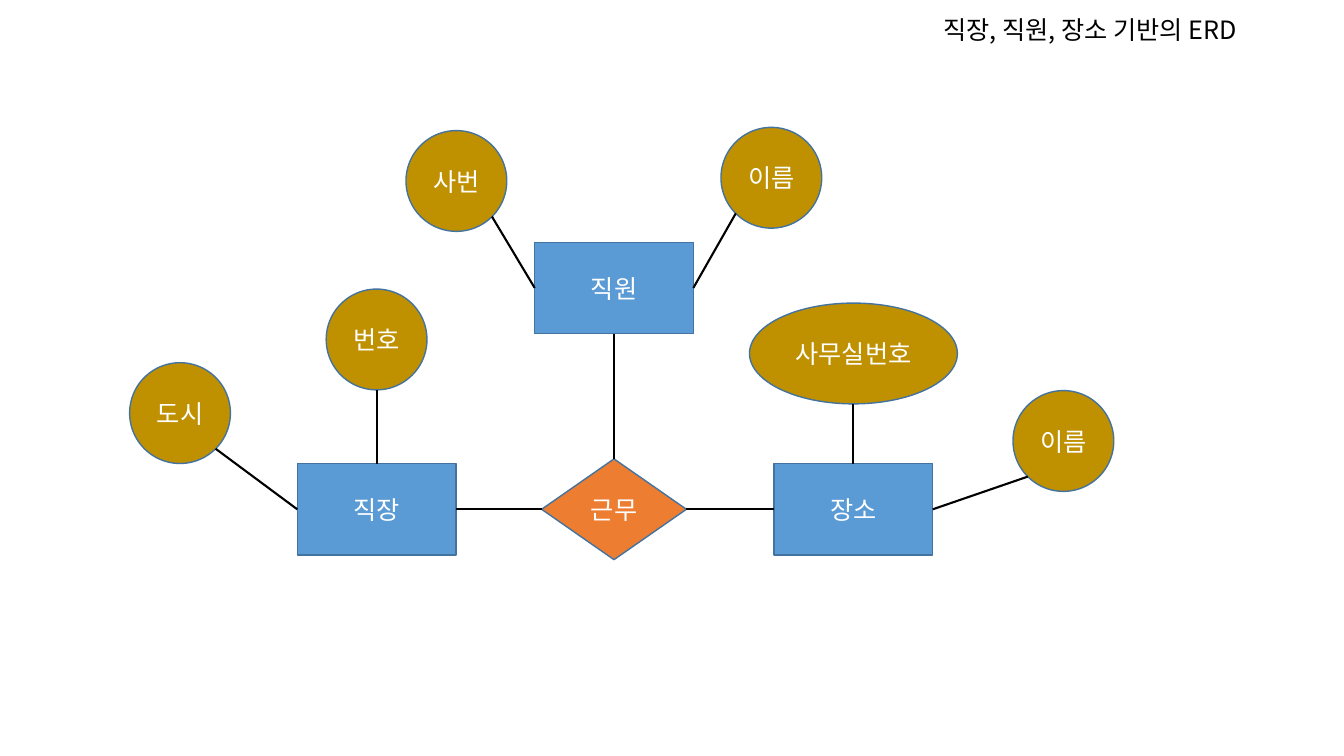
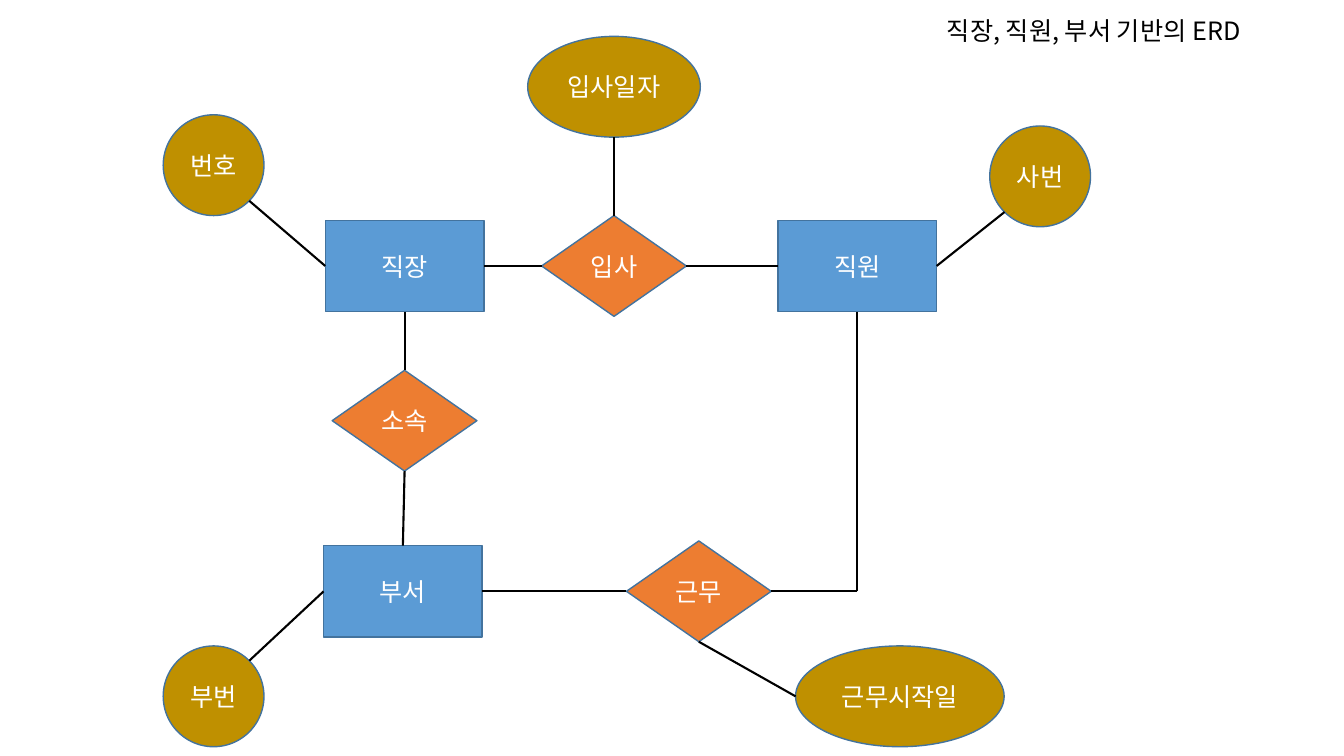
from math import sqrt

from lxml.etree import SubElement
from pptx import Presentation
from pptx.dml.color import RGBColor
from pptx.enum.shapes import MSO_CONNECTOR, MSO_SHAPE
from pptx.enum.text import MSO_ANCHOR, MSO_AUTO_SIZE, PP_ALIGN
from pptx.oxml.ns import qn
from pptx.util import Pt

FONT = "Noto Sans CJK KR"
COLORS = {
    "entity": "5B9BD5",
    "relation": "ED7D31",
    "attribute": "BF9000",
    "outline": "43739E",
    "link": "000000",
    "title": "000000",
    "label": "FFFFFF",
}
KINDS = {
    "entity": (MSO_SHAPE.RECTANGLE, 113.3, 65.4),
    "relation": (MSO_SHAPE.DIAMOND, 103.4, 72),
    "attribute": (MSO_SHAPE.OVAL, 72, 72),
}
SIDES = {
    "top": (0, -1),
    "left": (-1, 0),
    "bottom": (0, 1),
    "right": (1, 0),
    "bottom left": (-sqrt(0.5), sqrt(0.5)),
    "bottom right": (sqrt(0.5), sqrt(0.5)),
    "top right": (sqrt(0.5), -sqrt(0.5)),
}
BOX_SITES = ["top", "left", "bottom", "right"]
OVAL_SITES = ["top", "top left", "left", "bottom left",
              "bottom", "bottom right", "right", "top right"]

WORKPLACE_ERD = {
    "title": ("직장, 직원, 장소 기반의 ERD", 666.7, 6.5),
    "nodes": {
        "workplace": ("entity", "직장", 269, 363.8),
        "employee": ("entity", "직원", 438.6, 205.7),
        "place": ("entity", "장소", 609.6, 363.8),
        "works": ("relation", "근무", 438.6, 363.8),
        "employee name": ("attribute", "이름", 551, 127),
        "employee no": ("attribute", "사번", 326, 129.3),
        "city": ("attribute", "도시", 128.6, 295.1),
        "workplace no": ("attribute", "번호", 269, 242.5),
        "office no": ("attribute", "사무실번호", 609.6, 252.5, 148.5),
        "place name": ("attribute", "이름", 759.6, 315),
    },
    "links": [
        ("city", "bottom right", "workplace", "left"),
        ("workplace no", "bottom", "workplace", "top"),
        ("works", "left", "workplace", "right"),
        ("place", "left", "works", "right"),
        ("employee", "bottom", "works", "top"),
        ("employee no", "bottom right", "employee", "left"),
        ("employee name", "bottom left", "employee", "right"),
        ("office no", "bottom", "place", "top"),
        ("place name", "bottom left", "place", "right"),
    ],
}
DEPARTMENT_ERD = {
    "title": ("직장, 직원, 부서 기반의 ERD", 669.2, 7.2),
    "nodes": {
        "workplace": ("entity", "직장", 289, 190),
        "department": ("entity", "부서", 287.8, 422.4),
        "employee": ("entity", "직원", 612.4, 190),
        "joins": ("relation", "입사", 438.6, 190),
        "works": ("relation", "근무", 499.2, 422.4),
        "belongs": ("relation", "소속", 289, 300.5),
        "employee no": ("attribute", "사번", 743, 126),
        "workplace no": ("attribute", "번호", 152.6, 118),
        "join date": ("attribute", "입사일자", 438.6, 62, 123.3),
        "start date": ("attribute", "근무시작일", 642.8, 497.4, 149),
        "department no": ("attribute", "부번", 152.6, 497.4),
    },
    "links": [
        ("workplace", "bottom", "belongs", "top"),
        ("belongs", "bottom", "department", "top"),
        ("department", "left", "department no", "top right"),
        ("workplace no", "bottom right", "workplace", "left"),
        ("joins", "left", "workplace", "right"),
        ("joins", "right", "employee", "left"),
        ("works", "left", "department", "right"),
        ("works", "bottom", "start date", "left"),
        ("join date", "bottom", "joins", "top"),
        ("employee no", "bottom left", "employee", "right"),
    ],
    "corner": ("employee", "bottom", "works", "right"),
}


def rgb(name):
    """Return the named colour."""
    return RGBColor.from_string(COLORS[name])


def format_text(tf, color, align, anchor):
    """Give a text frame the shared font, a colour and its alignment."""
    tf.word_wrap = True
    tf.auto_size = MSO_AUTO_SIZE.NONE
    tf.vertical_anchor = anchor
    for p in tf.paragraphs:
        p.alignment = align
        for r in p.runs:
            r.font.size = Pt(18)
            r.font.name = FONT
            r.font.color.rgb = rgb(color)
            SubElement(r.font._element, qn("a:ea"), typeface=FONT)


def add_title(s, text, left, top):
    """Place the title at the top right of the slide."""
    sp = s.shapes.title
    sp.left, sp.top, sp.width, sp.height = Pt(left), Pt(top), Pt(255.6), Pt(29)
    sp.text_frame.text = text
    format_text(sp.text_frame, "title", PP_ALIGN.LEFT, MSO_ANCHOR.TOP)


def add_node(s, kind, text, x, y, width=None):
    """Add a labelled entity, relation or attribute centred on x, y."""
    preset, w, h = KINDS[kind]
    w = width or w
    sp = s.shapes.add_shape(preset, Pt(x - w / 2), Pt(y - h / 2), Pt(w), Pt(h))
    sp.shadow.inherit = False
    sp.fill.solid()
    sp.fill.fore_color.rgb = rgb(kind)
    sp.line.color.rgb = rgb("outline")
    sp.line.width = Pt(1)
    sp.text_frame.text = text
    format_text(sp.text_frame, "label", PP_ALIGN.CENTER, MSO_ANCHOR.MIDDLE)
    return sp


def side_point(sp, side):
    """Return the point on the given side of a node."""
    dx, dy = SIDES[side]
    return (round(sp.left + sp.width * (1 + dx) / 2),
            round(sp.top + sp.height * (1 + dy) / 2))


def add_line(s, start, end):
    """Draw a plain straight line between two points."""
    c = s.shapes.add_connector(MSO_CONNECTOR.STRAIGHT, *start, *end)
    c.line.color.rgb = rgb("link")
    c.line.width = Pt(1.5)
    SubElement(c._element.spPr, qn("a:effectLst"))
    return c


def glue(c, tag, sp, side):
    """Attach one end of a connector to a side of a node."""
    sites = OVAL_SITES if sp.auto_shape_type == MSO_SHAPE.OVAL else BOX_SITES
    SubElement(c._element.nvCxnSpPr.cNvCxnSpPr, qn(tag),
               id=str(sp.shape_id), idx=str(sites.index(side)))


def add_link(s, a, a_side, b, b_side):
    """Connect two nodes with a straight connector."""
    c = add_line(s, side_point(a, a_side), side_point(b, b_side))
    glue(c, "a:stCxn", a, a_side)
    glue(c, "a:endCxn", b, b_side)


def add_corner_link(s, a, a_side, b, b_side):
    """Connect two nodes by a vertical and a horizontal line."""
    start, end = side_point(a, a_side), side_point(b, b_side)
    corner = (start[0], end[1])
    glue(add_line(s, start, corner), "a:stCxn", a, a_side)
    glue(add_line(s, corner, end), "a:endCxn", b, b_side)


def add_erd(prs, erd):
    """Add a slide with one entity relationship diagram."""
    s = prs.slides.add_slide(prs.slide_layouts[5])
    add_title(s, *erd["title"])
    nodes = {key: add_node(s, *node) for key, node in erd["nodes"].items()}
    for a, a_side, b, b_side in erd["links"]:
        add_link(s, nodes[a], a_side, nodes[b], b_side)
    if "corner" in erd:
        a, a_side, b, b_side = erd["corner"]
        add_corner_link(s, nodes[a], a_side, nodes[b], b_side)


def main():
    """Build and save the presentation."""
    prs = Presentation()
    prs.slide_width, prs.slide_height = Pt(960), Pt(540)
    for erd in (WORKPLACE_ERD, DEPARTMENT_ERD):
        add_erd(prs, erd)
    prs.save("out.pptx")


if __name__ == "__main__":
    main()
